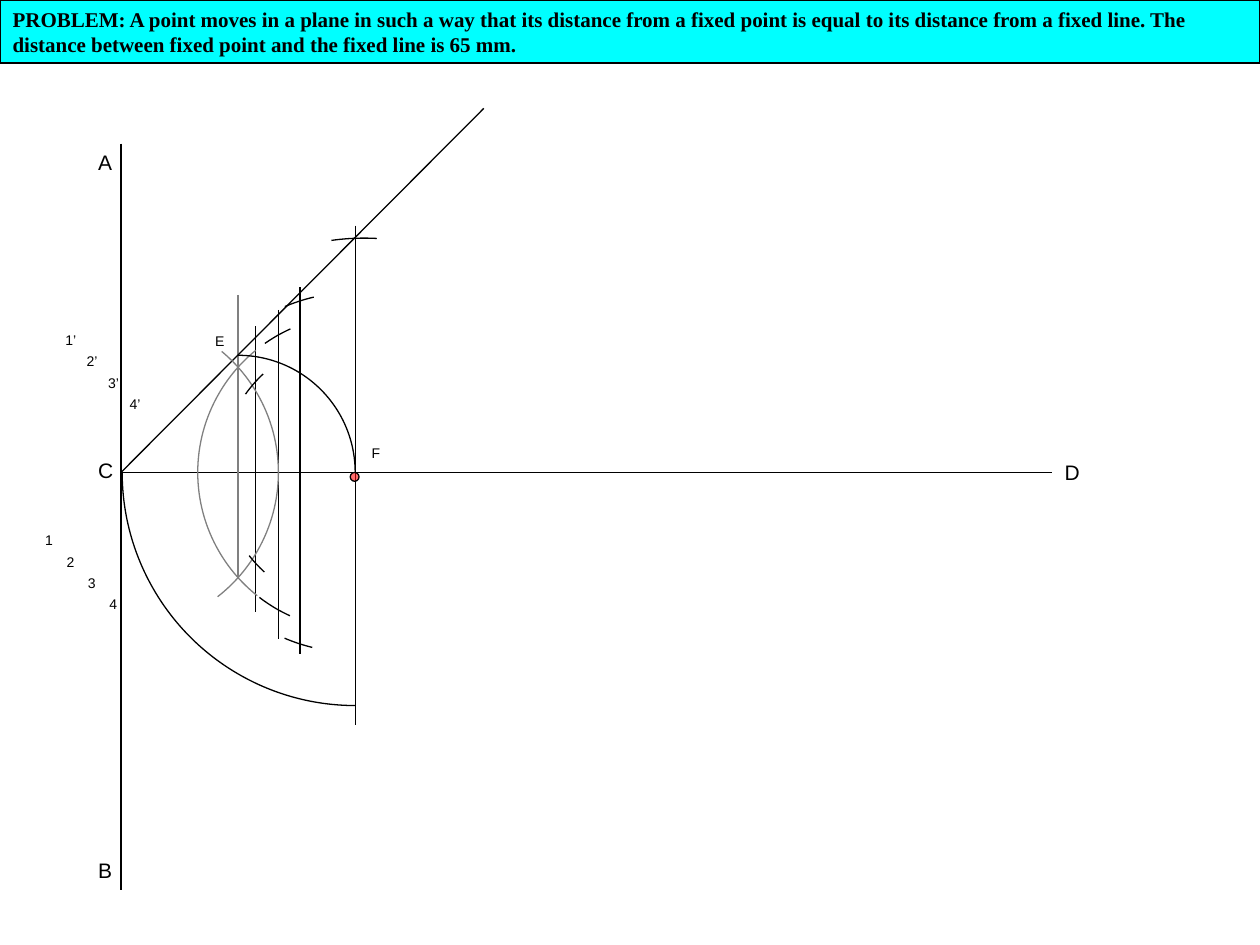
from lxml.etree import SubElement
from pptx import Presentation
from pptx.dml.color import RGBColor
from pptx.enum.shapes import MSO_CONNECTOR, MSO_SHAPE
from pptx.enum.text import MSO_ANCHOR, PP_ALIGN
from pptx.oxml.ns import qn
from pptx.util import Inches, Pt

BLACK = RGBColor(0x00, 0x00, 0x00)
GRAY = RGBColor(0x80, 0x80, 0x80)
CYAN = RGBColor(0x00, 0xFF, 0xFF)
RED = RGBColor(0xFF, 0x00, 0x00)

deck = Presentation()
deck.slide_width, deck.slide_height = Inches(10), Inches(7.5)
page = deck.slides.add_slide(deck.slide_layouts[5])
shapes = page.shapes

# Drawing grid: ten columns across, square cells
CELL = deck.slide_width // 10
DIRECTRIX, AXIS = 0.96, 3.75
FOCUS = 2.82
VERTEX = (DIRECTRIX + FOCUS) / 2
HALF = (FOCUS - DIRECTRIX) / 2


def grid(*cells):
    return [round(cell * CELL) for cell in cells]


def style_text(frame, text, size, font, bold=False):
    frame.word_wrap = True
    frame.vertical_anchor = MSO_ANCHOR.TOP
    frame.text = text
    para = frame.paragraphs[0]
    para.alignment = PP_ALIGN.LEFT
    para.space_before = Pt(0)
    span = para.runs[0]
    span.font.size, span.font.name, span.font.bold = Pt(size), font, bold
    span.font.color.rgb = BLACK


# Problem statement
title = shapes.title
title.left, title.top, title.width, title.height = grid(0, 0, 10, 0.5)
title.fill.solid()
title.fill.fore_color.rgb = CYAN
title.line.color.rgb = BLACK
title.line.width = Pt(0.75)
style_text(
    title.text_frame,
    "PROBLEM: A point moves in a plane in such a way that its distance from a "
    "fixed point is equal to its distance from a fixed line. The distance "
    "between fixed point and the fixed line is 65 mm.",
    12, "Times New Roman", bold=True)

# Straight lines: start x, start y, end x, end y, colour
lines = [
    (DIRECTRIX, 1.14, DIRECTRIX, 7.06, BLACK),
    (DIRECTRIX, AXIS, 8.35, AXIS, BLACK),
    (DIRECTRIX, AXIS, FOCUS, AXIS, BLACK),
    (VERTEX, 2.34, VERTEX, 4.59, GRAY),
    (DIRECTRIX, AXIS, 3.84, 0.86, BLACK),
    (2.03, 2.59, 2.03, 4.86, BLACK),
    (2.21, 2.46, 2.21, 5.07, BLACK),
    (2.38, 2.28, 2.38, 5.19, BLACK),
    (FOCUS, 1.79, FOCUS, 5.75, BLACK),
]
for *ends, color in lines:
    line = shapes.add_connector(MSO_CONNECTOR.STRAIGHT, *grid(*ends))
    line.line.color.rgb = color
    line.line.width = Pt(0.75)
    SubElement(line._element.spPr, qn("a:effectLst"))

# Fixed point, with a translucent fill
point = shapes.add_shape(MSO_SHAPE.OVAL, *grid(2.78, AXIS, 0.07, 0.07))
point.shadow.inherit = False
point.fill.solid()
point.fill.fore_color.rgb = RED
point.line.color.rgb = BLACK
point.line.width = Pt(0.75)
red = point._element.spPr.find(qn("a:solidFill")).find(qn("a:srgbClr"))
SubElement(red, qn("a:alpha")).set("val", "57000")

# Compass arcs: centre x, centre y, radius, clockwise from and to degrees, colour
arcs = [
    (DIRECTRIX, AXIS, 1.25, 309.8, 52.1, GRAY),
    (FOCUS, AXIS, 1.25, 128.5, 230.8, GRAY),
    (VERTEX, AXIS, HALF, 270, 0, BLACK),
    (FOCUS, AXIS, 1.07, 215.5, 226.9, BLACK),
    (FOCUS, AXIS, 1.07, 132.4, 141.9, BLACK),
    (FOCUS, AXIS, 1.25, 235, 245.7, BLACK),
    (FOCUS, AXIS, 1.25, 114.5, 127.5, BLACK),
    (FOCUS, AXIS, 1.43, 247, 256.7, BLACK),
    (FOCUS, AXIS, 1.43, 103.8, 113.1, BLACK),
    (FOCUS, AXIS, 1.85, 90, 180, BLACK),
    (2.89, AXIS, 1.86, 262, 273.1, BLACK),
]
DEGREE = 0.6  # one degree in adjustment units
for x, y, radius, start, end, color in arcs:
    arc = shapes.add_shape(
        MSO_SHAPE.ARC, *grid(x - radius, y - radius, 2 * radius, 2 * radius))
    arc.shadow.inherit = False
    arc.adjustments[0] = start * DEGREE
    arc.adjustments[1] = end * DEGREE
    arc.fill.background()
    arc.line.color.rgb = color
    arc.line.width = Pt(0.75)

# Labels: text, left, top, width, height, size
labels = [
    ("A", 0.68, 1.14, 0.58, 0.3, 12),
    ("B", 0.68, 6.76, 0.58, 0.3, 12),
    ("C", 0.68, 3.58, 0.71, 0.3, 12),
    ("D", 8.35, 3.6, 0.71, 0.3, 12),
    ("E", 1.61, 2.59, 0.28, 0.24, 8),
    ("F", 2.85, 3.48, 0.28, 0.24, 8),
]
# Point numbers step down to the right, above and below the axis
for step in range(4):
    shift = step * 0.17
    labels.append((f"{step + 1}’", 0.42 + shift, 2.58 + shift, 0.33, 0.24, 8))
    labels.append((f"{step + 1}", 0.26 + shift, 4.17 + shift, 0.33, 0.24, 8))
for text, *place, size in labels:
    box = shapes.add_textbox(*grid(*place))
    style_text(box.text_frame, text, size, "Arial")

deck.save("out.pptx")
